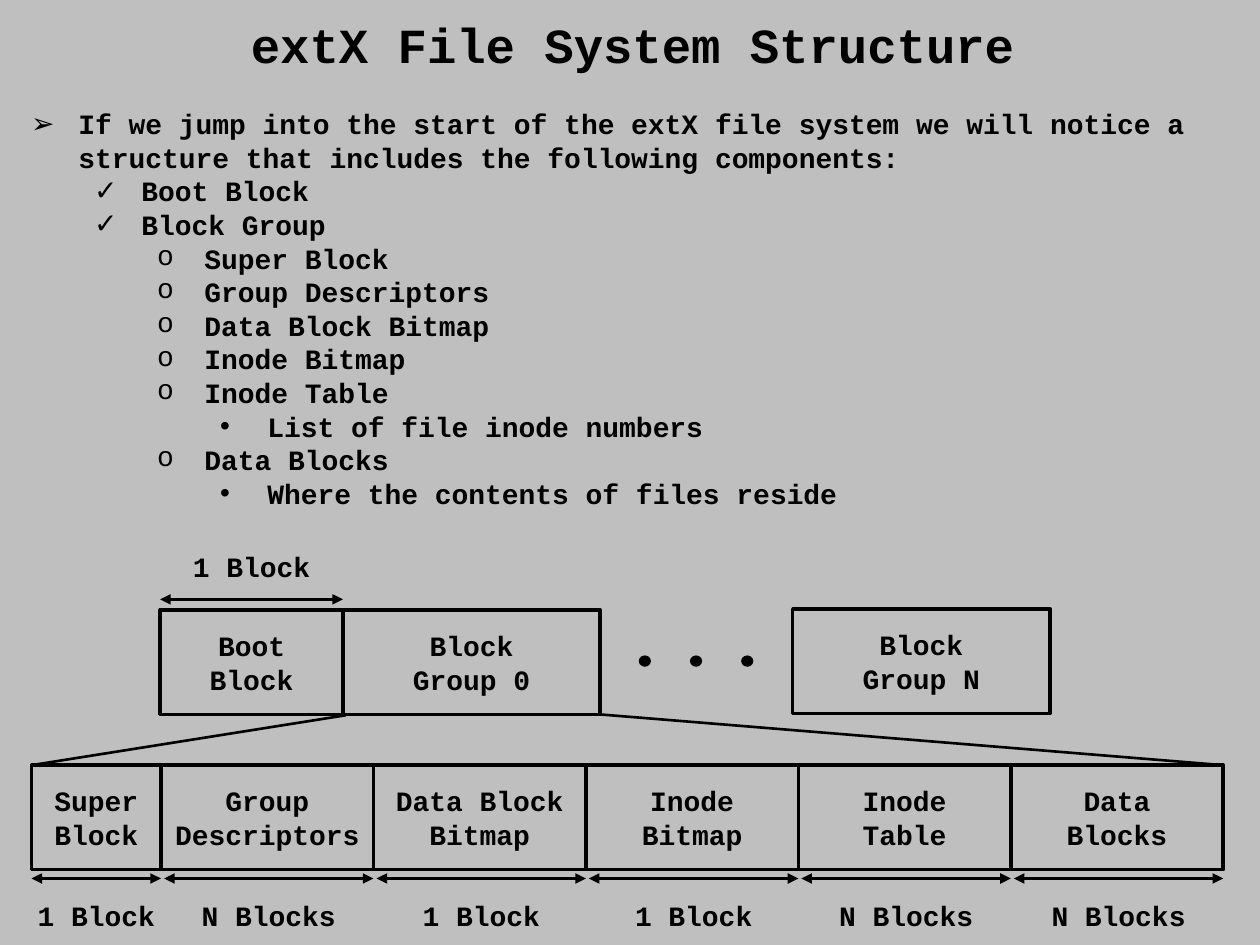
import pptx
import pptx.dml.color
import pptx.enum.shapes
import pptx.enum.text
import pptx.oxml.ns
import pptx.util
from lxml import etree

Pt = pptx.util.Pt
SHAPES = pptx.enum.shapes.MSO_SHAPE
ALIGN = pptx.enum.text.PP_ALIGN
ANCHOR = pptx.enum.text.MSO_ANCHOR
FONT = "Courier New"
BLACK = "000000"
BACKGROUND = "BFBFBF"
BLOCK_HEIGHT = 59.75
LABEL_HEIGHT = 26.5

# Bullet character and font for each outline level
BULLETS = [("➢", "Arial"), ("✓", "Arial"), ("o", FONT), ("•", "Arial")]
OUTLINE = [
    (0, "If we jump into the start of the extX file system we will notice a "
        "structure that includes the following components:"),
    (1, "Boot Block"),
    (1, "Block Group"),
    (2, "Super Block"),
    (2, "Group Descriptors"),
    (2, "Data Block Bitmap"),
    (2, "Inode Bitmap"),
    (2, "Inode Table"),
    (3, "List of file inode numbers"),
    (2, "Data Blocks"),
    (3, "Where the contents of files reside"),
]
# Lines of the name, size label, width
GROUP_PARTS = [
    (["Super", "Block"], "1 Block", 74),
    (["Group", "Descriptors"], "N Blocks", 121.4),
    (["Data Block", "Bitmap"], "1 Block", 121.4),
    (["Inode", "Bitmap"], "1 Block", 121.4),
    (["Inode", "Table"], "N Blocks", 121.4),
    (["Data", "Blocks"], "N Blocks", 121.4),
]


def color(hex_string):
    return pptx.dml.color.RGBColor.from_string(hex_string)


def add_element(parent, tag, **attributes):
    return etree.SubElement(parent, pptx.oxml.ns.qn(tag), attributes)


def add_bullet(paragraph, level):
    """Give a paragraph the hanging bullet of its outline level."""
    character, typeface = BULLETS[level]
    paragraph.level = level
    properties = paragraph._p.get_or_add_pPr()
    properties.set("marL", str(Pt(27 + 36 * level)))
    properties.set("indent", str(-Pt(27)))
    add_element(properties, "a:buFont", typeface=typeface)
    add_element(properties, "a:buChar", char=character)


def write_text(shape, lines, size=16, align=ALIGN.CENTER, anchor=ANCHOR.MIDDLE,
               inset=(0, 0), levels=None):
    """Write one paragraph per line; levels turns the lines into a bulleted outline."""
    frame = shape.text_frame
    frame.word_wrap = True
    frame.vertical_anchor = anchor
    frame.margin_left = frame.margin_right = Pt(inset[0])
    frame.margin_top = frame.margin_bottom = Pt(inset[1])
    for index, line in enumerate(lines):
        paragraph = frame.add_paragraph() if index else frame.paragraphs[0]
        paragraph.alignment = align
        if levels:
            add_bullet(paragraph, levels[index])
        run = paragraph.add_run()
        run.text = line
        run.font.name = FONT
        run.font.size = Pt(size)
        run.font.bold = True
        run.font.color.rgb = color(BLACK)


def add_text(slide, left, top, width, height, lines, **text_format):
    box = slide.shapes.add_textbox(Pt(left), Pt(top), Pt(width), Pt(height))
    write_text(box, lines, **text_format)


def add_block(slide, left, top, width, lines):
    block = slide.shapes.add_shape(SHAPES.RECTANGLE, Pt(left), Pt(top),
                                   Pt(width), Pt(BLOCK_HEIGHT))
    block.shadow.inherit = False
    block.fill.background()
    block.line.color.rgb = color(BLACK)
    block.line.width = Pt(2)
    write_text(block, lines)


def add_line(slide, start, end, width, arrows=False):
    line = slide.shapes.add_connector(pptx.enum.shapes.MSO_CONNECTOR.STRAIGHT,
                                      *map(Pt, start + end))
    line.line.color.rgb = color(BLACK)
    line.line.width = Pt(width)
    if arrows:
        outline = line.line._get_or_add_ln()
        add_element(outline, "a:headEnd", type="triangle")
        add_element(outline, "a:tailEnd", type="triangle")
    add_element(line._element.spPr, "a:effectLst")


def add_measure(slide, left, right, arrow_top, label_top, label):
    """Draw a double arrow over a span, with its size label centred on it."""
    add_line(slide, (left, arrow_top), (right, arrow_top), 2, arrows=True)
    add_text(slide, left, label_top, right - left, LABEL_HEIGHT, [label])


def add_ellipsis(slide, left, top, pitch):
    for index in range(3):
        dot = slide.shapes.add_shape(SHAPES.OVAL, Pt(left + index * pitch), Pt(top),
                                     Pt(7), Pt(6.5))
        dot.shadow.inherit = False
        dot.fill.solid()
        dot.fill.fore_color.rgb = color(BLACK)
        dot.line.fill.background()


def add_file_system_row(slide, left, top):
    """Draw the boot block and block groups; return the left and right of group 0."""
    boot_width, group_width = 104.5, 147
    group_left = left + boot_width
    group_right = group_left + group_width
    add_block(slide, left, top, boot_width, ["Boot", "Block"])
    add_block(slide, group_left, top, group_width, ["Block", "Group 0"])
    add_ellipsis(slide, group_right + 22, top + 26, 29.25)
    add_block(slide, group_right + 110, top - 0.5, group_width, ["Block", "Group N"])
    add_measure(slide, left, group_left, top - 6, top - 38, "1 Block")
    return group_left, group_right


def add_block_group_row(slide, left, top):
    """Draw the parts of a block group with their sizes; return the right edge."""
    arrow_top = top + BLOCK_HEIGHT + 5
    for index, (lines, size_label, width) in enumerate(GROUP_PARTS):
        right = left + width
        add_block(slide, left, top, width, lines)
        arrow_left = left + 1.75 if index else left
        add_measure(slide, arrow_left, right, arrow_top, arrow_top + 8, size_label)
        left = right
    return left


def add_diagram(slide, left, top):
    group_left, group_right = add_file_system_row(slide, left + 73.5, top)
    detail_top = top + 88.75
    detail_right = add_block_group_row(slide, left, detail_top)
    group_bottom = top + BLOCK_HEIGHT
    add_line(slide, (group_left + 1.5, group_bottom + 0.5), (left, detail_top), 1.5)
    add_line(slide, (group_right, group_bottom), (detail_right, detail_top), 1.5)


def add_outline(slide, left, top, width, height):
    levels, lines = zip(*OUTLINE)
    add_text(slide, left, top, width, height, lines, levels=levels,
             align=ALIGN.LEFT, anchor=ANCHOR.TOP, inset=(7.2, 3.6))


def main():
    presentation = pptx.Presentation()
    presentation.slide_width = Pt(720)
    presentation.slide_height = Pt(540)
    slide = presentation.slides.add_slide(presentation.slide_layouts[6])
    slide.background.fill.solid()
    slide.background.fill.fore_color.rgb = color(BACKGROUND)
    add_text(slide, 41, 8.5, 641, 33, ["extX File System Structure"],
             size=28, inset=(7.2, 3.6))
    add_outline(slide, 10.75, 57.5, 697, 245)
    add_diagram(slide, 18, 348.5)
    presentation.save("out.pptx")


if __name__ == "__main__":
    main()
